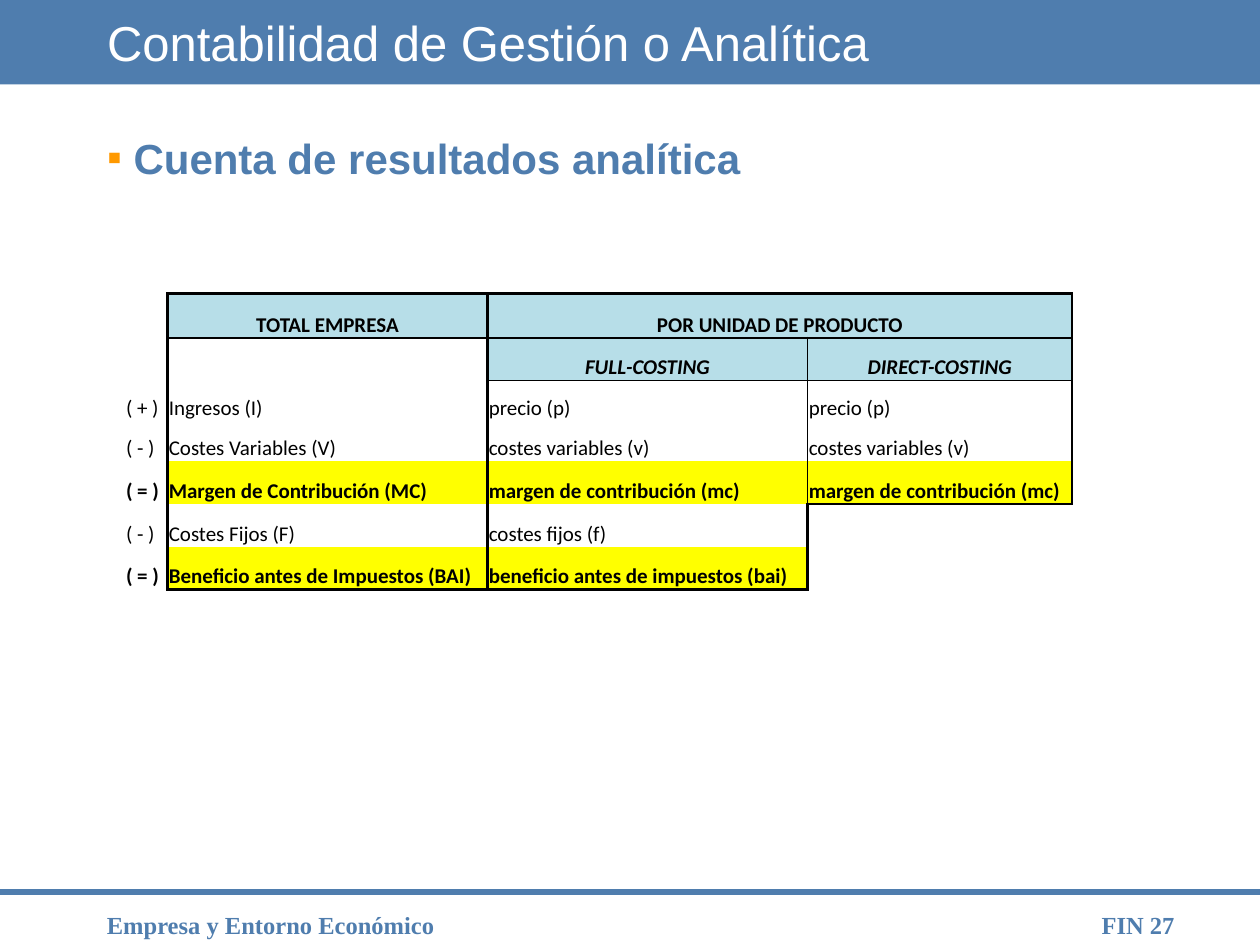
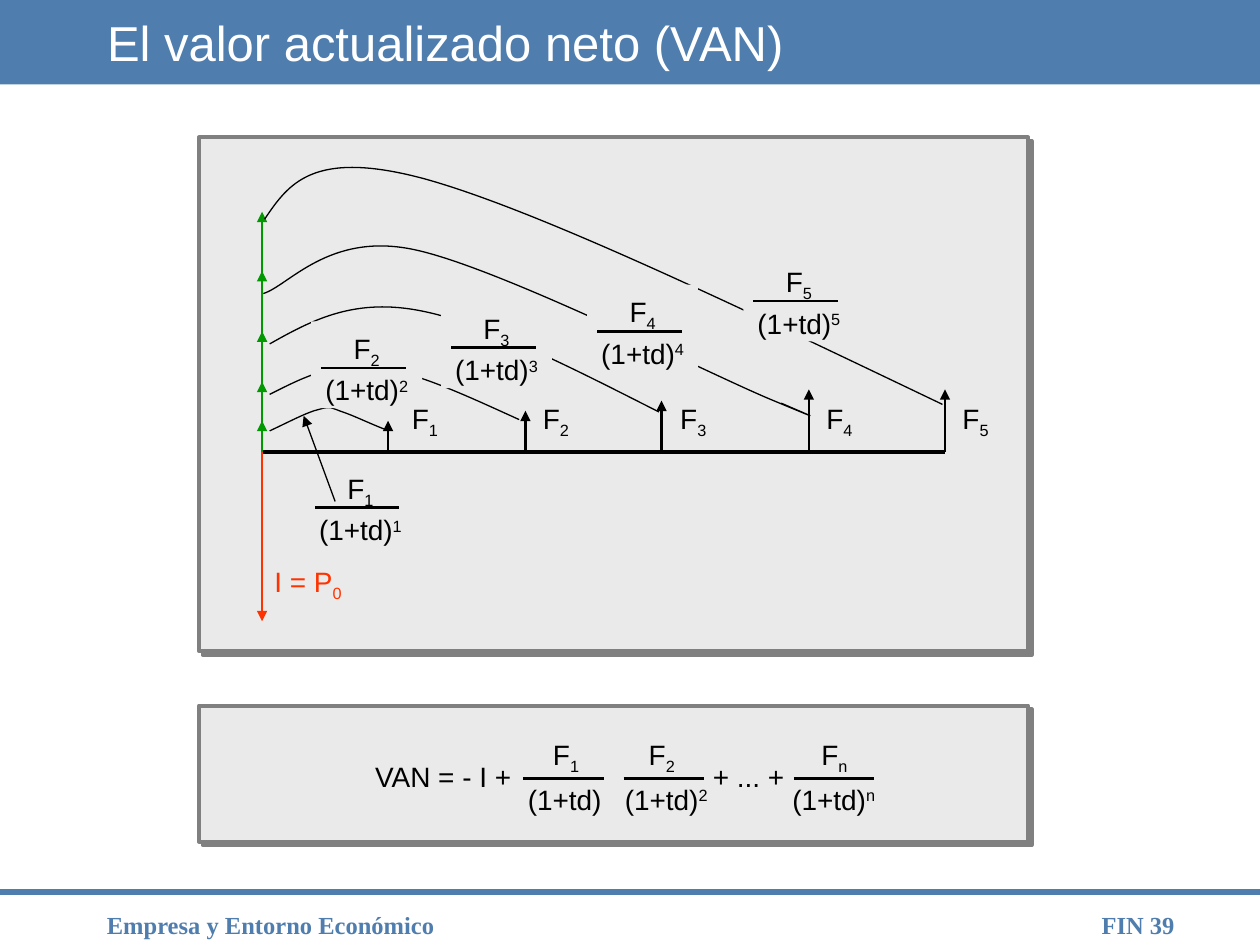
import lxml.etree
import pptx
import pptx.dml.color
import pptx.enum.shapes
import pptx.enum.text
import pptx.oxml
import pptx.oxml.ns
import pptx.util

Inches, Pt = pptx.util.Inches, pptx.util.Pt
qn = pptx.oxml.ns.qn
rgb = pptx.dml.color.RGBColor.from_string
ALIGN, ANCHOR = pptx.enum.text.PP_ALIGN, pptx.enum.text.MSO_ANCHOR
RECTANGLE = pptx.enum.shapes.MSO_SHAPE.RECTANGLE

BLUE, ORANGE, BLACK, WHITE = "4F7DAE", "FF9900", "000000", "FFFFFF"
HEADER, RESULT = "B7DEE8", "FFFF00"
PANEL, EDGE, RED, GREEN = "EAEAEA", "808080", "FF3300", "009900"


def add_line(slide, x1, y1, x2, y2, color=BLACK, width=1.5, arrow=False):
    line = slide.shapes.add_connector(
        pptx.enum.shapes.MSO_CONNECTOR.STRAIGHT, Inches(x1), Inches(y1), Inches(x2), Inches(y2))
    line.line.color.rgb = rgb(color)
    line.line.width = Pt(width)
    if arrow:
        lxml.etree.SubElement(line.line._get_or_add_ln(), qn("a:tailEnd"), type="triangle")
    lxml.etree.SubElement(line._element.spPr, qn("a:effectLst"))
    return line


def add_text(slide, x, y, w, h, lines, color=BLACK, size=16, font="Arial", bold=False,
             align=ALIGN.LEFT, spacing=1.0):
    """In a line, _ lowers and ^ raises the one character that follows."""
    box = slide.shapes.add_textbox(Inches(x), Inches(y), Inches(w), Inches(h))
    frame = box.text_frame
    frame.word_wrap = True
    for number, line in enumerate(lines):
        paragraph = frame.add_paragraph() if number else frame.paragraphs[0]
        paragraph.alignment, paragraph.line_spacing = align, spacing
        paragraph.font.size, paragraph.font.name = Pt(size), font
        paragraph.font.bold = bold
        paragraph.font.color.rgb = rgb(color)
        plain, *scripts = line.replace("_", "|_").replace("^", "|^").split("|")
        paragraph.add_run().text = plain
        for script in scripts:
            script_run = paragraph.add_run()
            script_run.text = script[1]
            script_run._r.get_or_add_rPr().set("baseline", "30000" if script[0] == "^" else "-25000")
            if script[2:]:
                paragraph.add_run().text = script[2:]
    return box


deck = pptx.Presentation()
deck.slide_width, deck.slide_height = Inches(10), Inches(7.5)
results = deck.slides.add_slide(deck.slide_layouts[1])
van = deck.slides.add_slide(deck.slide_layouts[5])

# Band, rule and course name: moved to the master, behind everything
band = results.shapes.add_shape(RECTANGLE, 0, 0, Inches(10), Inches(0.67))
band.fill.solid()
band.fill.fore_color.rgb = rgb(BLUE)
band.line.fill.background()
band.shadow.inherit = False
rule = add_line(results, 0, 7.08, 10, 7.08, BLUE, 3)
course = add_text(results, 0.75, 7.17, 4.67, 0.25, ["Empresa y Entorno Económico"],
                  BLUE, 14, "Times New Roman", True)
master_tree = deck.slide_master.element.cSld.spTree
for position, part in enumerate([band, rule, course]):
    part.element.xpath(".//p:cNvPr")[0].set("id", str(101 + position))
    master_tree.insert(2 + position, part.element)

# Titles and page numbers
for slide, heading, page in [(results, "Contabilidad de Gestión o Analítica", "FIN 27"),
                             (van, "El valor actualizado neto (VAN)", "FIN 39")]:
    title = slide.shapes.title
    title.left, title.top, title.width, title.height = map(Inches, (0.75, 0, 8.5, 0.67))
    title.text_frame.text = heading
    title.text_frame.auto_size = pptx.enum.text.MSO_AUTO_SIZE.NONE
    title.text_frame.vertical_anchor = ANCHOR.MIDDLE
    paragraph = title.text_frame.paragraphs[0]
    paragraph.alignment = ALIGN.LEFT
    paragraph.font.size, paragraph.font.name = Pt(28), "Arial"
    paragraph.font.color.rgb = rgb(WHITE)
    add_text(slide, 8.07, 7.17, 1.35, 0.25, [page], BLUE, 14, "Times New Roman", True, ALIGN.RIGHT)

# Slide 1: subject line
subject = results.placeholders[1]
subject.left, subject.top, subject.width, subject.height = map(Inches, (0.75, 1.08, 8.5, 5.67))
subject.text_frame.text = "Cuenta de resultados analítica"
subject.text_frame.auto_size = pptx.enum.text.MSO_AUTO_SIZE.NONE
paragraph = subject.text_frame.paragraphs[0]
paragraph.line_spacing = 0.8
paragraph.font.size, paragraph.font.name, paragraph.font.bold = Pt(24), "Arial", True
paragraph.font.color.rgb = rgb(BLUE)
bullet = paragraph._p.get_or_add_pPr()
bullet.set("marL", str(Inches(0.21)))
bullet.set("indent", str(Inches(-0.21)))
bullet_color = lxml.etree.Element(qn("a:buClr"))
lxml.etree.SubElement(bullet_color, qn("a:srgbClr"), val=ORANGE)
bullet_sign = lxml.etree.Element(qn("a:buChar"), char="▪")
bullet.find(qn("a:defRPr")).addprevious(bullet_color)
bullet.find(qn("a:defRPr")).addprevious(bullet_sign)

# Slide 1: income statement, with the borders of each cell (capital = thick, small = thin)
statement = [
    ["", "TOTAL EMPRESA", "POR UNIDAD DE PRODUCTO", ""],
    ["", "", "FULL-COSTING", "DIRECT-COSTING"],
    ["( + )", "Ingresos (I)", "precio (p)", "precio (p)"],
    ["( - )", "Costes Variables (V)", "costes variables (v)", "costes variables (v)"],
    ["( = )", "Margen de Contribución (MC)", "margen de contribución (mc)",
     "margen de contribución (mc)"],
    ["( - )", "Costes Fijos (F)", "costes fijos (f)", ""],
    ["( = )", "Beneficio antes de Impuestos (BAI)", "beneficio antes de impuestos (bai)", ""],
]
borders = [
    ["R", "LRTB", "LRTB", "RTB"],
    ["R", "LRT", "LrTb", "lRTb"],
    ["R", "LR", "Lrt", "lRt"],
    ["R", "LR", "Lr", "lR"],
    ["R", "LR", "Lr", "lRB"],
    ["R", "LR", "LR", "LT"],
    ["R", "LRB", "LRB", "L"],
]
table = results.shapes.add_table(7, 4, Inches(0.99), Inches(2.33), Inches(7.52), Inches(2.35)).table
table.first_row = table.horz_banding = False
NO_STYLE = "{2D5ABB26-0587-4C30-8999-92F81FD0307C}"
table._tbl.tblPr.find(qn("a:tableStyleId")).text = NO_STYLE
for column, width in zip(table.columns, [0.34, 2.54, 2.54, 2.1]):
    column.width = Inches(width)
for row, height in zip(table.rows, [0.35, 0.34, 0.32, 0.32, 0.34, 0.34, 0.34]):
    row.height = Inches(height)
table.cell(0, 2).merge(table.cell(0, 3))

for r, entries in enumerate(statement):
    is_header, is_result = r < 2, entries[0] == "( = )"
    for c, entry in enumerate(entries):
        cell = table.cell(r, c)
        cell.margin_left = cell.margin_right = cell.margin_top = Inches(0.01)
        cell.margin_bottom = 0
        cell.vertical_anchor = ANCHOR.BOTTOM
        if entry:
            cell.text = entry
        paragraph = cell.text_frame.paragraphs[0]
        paragraph.alignment = ALIGN.CENTER if is_header else ALIGN.LEFT
        paragraph.font.size, paragraph.font.name = Pt(12), "Calibri"
        paragraph.font.bold, paragraph.font.italic = is_header or is_result, r == 1
        paragraph.font.color.rgb = rgb(BLACK)
        for side in "LRTB":
            edge = lxml.etree.SubElement(cell._tc.get_or_add_tcPr(), qn("a:ln" + side))
            if side in borders[r][c].upper():
                edge.set("w", str(Pt(1.5 if side in borders[r][c] else 0.5)))
                edge_fill = lxml.etree.SubElement(edge, qn("a:solidFill"))
                lxml.etree.SubElement(edge_fill, qn("a:srgbClr"), val=BLACK)
            else:
                lxml.etree.SubElement(edge, qn("a:noFill"))
        if entry and (is_header or is_result and c > 0):
            cell.fill.solid()
            cell.fill.fore_color.rgb = rgb(HEADER if is_header else RESULT)
        else:
            cell.fill.background()

# Slide 2: panels with a hard shadow
for top, height in [(1.09, 4.08), (5.6, 1.08)]:
    panel = van.shapes.add_shape(RECTANGLE, Inches(1.58), Inches(top), Inches(6.58), Inches(height))
    panel.fill.solid()
    panel.fill.fore_color.rgb = rgb(PANEL)
    panel.line.color.rgb = rgb(EDGE)
    panel.line.width = Pt(2.25)
    panel.shadow.inherit = False
    shadow = lxml.etree.SubElement(
        panel._element.spPr.find(qn("a:effectLst")), qn("a:outerShdw"),
        dist=str(Pt(2.8)), dir=str(45 * 60000), algn="ctr", rotWithShape="0")
    lxml.etree.SubElement(shadow, qn("a:srgbClr"), val=EDGE)

# Time axis, investment and yearly cash flows
START, AXIS = 2.08, 3.59
add_line(van, START, AXIS, 7.5, AXIS, width=2.25)
add_line(van, START, AXIS, START, 4.93, RED, 0.75, arrow=True)
add_text(van, START, 4.43, 0.85, 0.37, ["I = P_0"], RED)
flows = [(3.08, 3.34, 3.17), (4.17, 3.26, 4.21), (5.25, 3.18, 5.3), (6.42, 3.09, 6.46),
         (7.5, 3.09, 7.54)]
for year, (x, tip, label_x) in enumerate(flows, 1):
    add_line(van, x, AXIS, x, tip, arrow=True)
    add_text(van, label_x, 3.14, 0.45, 0.37, [f"F_{year}"])

# Discounted flows stacked at the start
van.shapes.add_group_shape([
    add_line(van, START, base, START, tip, GREEN, arrow=True)
    for base, tip in [(AXIS, 3.34), (3.37, 3.03), (3.05, 2.63), (2.65, 2.15), (2.18, 1.68)]])

# Curves from each flow back to the start: chains of cubic Bézier points
curves = [
    [(3.06, 3.41), (2.93, 3.36), (2.81, 3.3), (2.72, 3.27), (2.63, 3.24), (2.63, 3.22),
     (2.53, 3.25), (2.44, 3.27), (2.29, 3.35), (2.14, 3.42)],
    [(4.12, 3.33), (3.7, 3.14), (3.28, 2.94), (2.95, 2.91), (2.62, 2.88), (2.38, 3.01),
     (2.14, 3.13)],
    [(5.23, 3.27), (4.52, 2.91), (3.82, 2.55), (3.3, 2.46), (2.79, 2.37), (2.46, 2.55),
     (2.14, 2.73)],
    [(6.2, 3.2), (6.41, 3.29), (6.62, 3.38), (6.14, 3.18), (5.65, 2.98), (3.96, 2.12),
     (3.28, 1.98), (2.61, 1.84), (2.29, 2.27), (2.09, 2.33)],
    [(7.48, 3.21), (5.87, 2.44), (4.27, 1.67), (3.37, 1.42), (2.48, 1.18), (2.29, 1.46),
     (2.1, 1.74)],
]
for knots in curves:
    start, *rest = [(Inches(x), Inches(y)) for x, y in knots]
    builder = van.shapes.build_freeform(*start)
    builder.add_line_segments(rest, close=False)
    curve = builder.convert_to_shape()
    curve.fill.background()
    curve.line.color.rgb = rgb(BLACK)
    curve.line.width = Pt(0.75)
    curve.shadow.inherit = False
    # Every three straight segments become one Bézier segment
    segments = curve._element.xpath(".//a:lnTo")
    for first in range(0, len(segments), 3):
        bezier = lxml.etree.Element(qn("a:cubicBezTo"))
        segments[first].addprevious(bezier)
        for segment in segments[first:first + 3]:
            bezier.append(segment[0])
            segment.getparent().remove(segment)

# Discount fractions: year, centre, bar height
for year, centre, bar in [(3, 3.94, 2.76), (4, 5.1, 2.63), (5, 6.34, 2.39), (2, 2.91, 2.92),
                          (1, 2.86, 4.03)]:
    fraction = add_text(van, centre - 0.44, bar - 0.37, 0.88, 0.69,
                        [f"F_{year}", f"(1+td)^{year}"], align=ALIGN.CENTER, spacing=1.1)
    fraction.text_frame.margin_left = fraction.text_frame.margin_right = 0
    fraction.fill.solid()
    fraction.fill.fore_color.rgb = rgb(PANEL)
    fraction_bar = add_line(van, centre - 0.36, bar, centre + 0.31, bar)
    van.shapes.add_group_shape([fraction, fraction_bar])
add_line(van, 2.66, 3.98, 2.41, 3.3, width=0.75, arrow=True)

# Formula: numerators and denominators stand on tab stops
numerators = add_text(van, 4.29, 5.73, 2.68, 0.44, ["F_1\tF_2\tF_n"], spacing=1.25)
denominators = add_text(van, 4.09, 6.16, 3.01, 0.37, ["(1+td)\t(1+td)^2\t(1+td)^n"])
for terms, stops in [(numerators, (0.76, 2.13)), (denominators, (0.77, 2.1))]:
    tabs = lxml.etree.Element(qn("a:tabLst"))
    for stop in stops:
        lxml.etree.SubElement(tabs, qn("a:tab"), pos=str(Inches(stop)), algn="l")
    terms.text_frame.paragraphs[0]._p.pPr.find(qn("a:defRPr")).addprevious(tabs)
add_text(van, 2.88, 5.98, 1.3, 0.37, ["VAN = - I +"])
add_text(van, 5.56, 5.98, 0.8, 0.37, ["+ ... +"])
for left in (4.15, 4.95, 6.3):
    add_line(van, left, 6.18, left + 0.64, 6.18)

deck.save("out.pptx")
